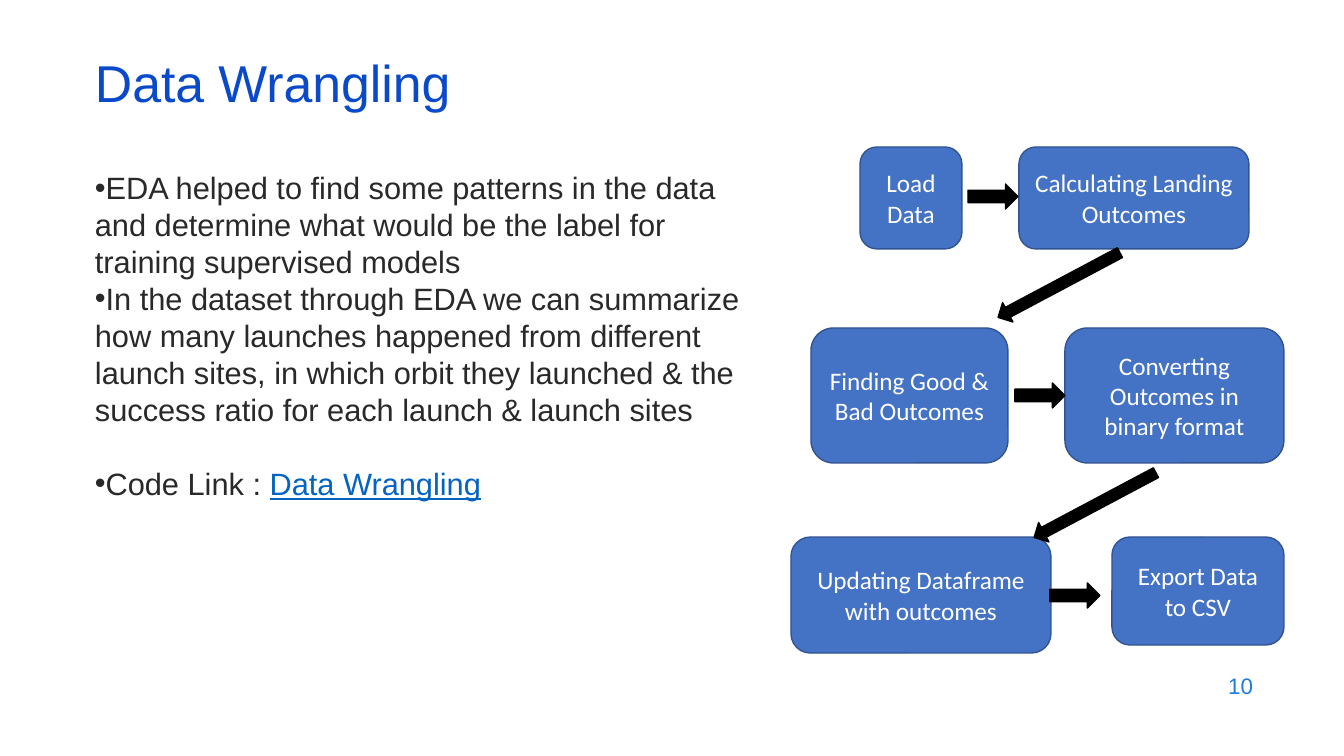
"""Build the Data Wrangling slide: bullet text beside a six-step flow of boxes and arrows."""
from pptx import Presentation
from pptx.dml.color import RGBColor
from pptx.enum.shapes import MSO_SHAPE as Shape
from pptx.enum.text import MSO_ANCHOR as Anchor, PP_ALIGN as Align
from pptx.oxml.ns import qn
from pptx.util import Emu, Pt
from lxml.etree import SubElement

COLORS = {
    "title": "0B49CB", "body": "292929", "link": "0563C1", "number": "1C7DDB",
    "box": "4472C4", "outline": "325491", "label": "FFFFFF", "arrow": "000000",
}


def px(*lengths):
    return [Emu(round(length * 914400 / 100.8)) for length in lengths]


def write(paragraph, text, color, **font_format):
    run = paragraph.add_run()
    run.text = text
    run.font.color.rgb = RGBColor.from_string(COLORS[color])
    for name, value in font_format.items():
        setattr(run.font, name, value)


presentation = Presentation()
presentation.slide_width, presentation.slide_height = px(1344, 756)
slide = presentation.slides.add_slide(presentation.slide_layouts[6])

headings = [
    ((961, 664, 302, 44), "10", "number", 16, {"alignment": Align.RIGHT}),
    ((85, 59, 1159, 60), "Data Wrangling", "title", 37, {"line_spacing": 0.7}),
]
for place, text, color, size, paragraph_format in headings:
    frame = slide.shapes.add_textbox(*px(*place)).text_frame
    frame.word_wrap = True
    frame.vertical_anchor = Anchor.MIDDLE
    paragraph = frame.paragraphs[0]
    for name, value in paragraph_format.items():
        setattr(paragraph, name, value)
    write(paragraph, text, color, size=Pt(size), name="Arial")

bullets = [
    ("EDA helped to find some patterns in the data and determine what would be "
     "the label for training supervised models", "", 0),
    ("In the dataset through EDA we can summarize how many launches happened from "
     "different launch sites, in which orbit they launched & the success ratio for "
     "each launch & launch sites", "", 0),
    ("Code Link : ", "Data Wrangling", 26.4),
]
body = slide.shapes.add_textbox(*px(85, 164, 700, 480)).text_frame
body.word_wrap = True
for index, (text, link, space) in enumerate(bullets):
    paragraph = body.add_paragraph() if index else body.paragraphs[0]
    paragraph.line_spacing = Pt(26.4)
    paragraph.space_before = Pt(space)
    properties = paragraph._p.get_or_add_pPr()
    properties.set("marL", "0")
    properties.set("indent", "0")
    SubElement(properties, qn("a:buFont")).set("typeface", "Arial")
    SubElement(properties, qn("a:buChar")).set("char", "•")
    write(paragraph, text, "body", size=Pt(22), name="Arial")
    if link:
        write(paragraph, link, "link", size=Pt(22), name="Arial", underline=True)

steps = [
    ("Load Data", 860, 147, 102, 102),
    ("Calculating Landing Outcomes", 1019, 147, 230, 102),
    ("Finding Good & Bad Outcomes", 811, 328, 197, 135),
    ("Converting Outcomes in binary format", 1065, 328, 219, 135),
    ("Updating Dataframe with outcomes", 791, 537, 260, 116),
    ("Export Data to CSV", 1112, 537, 172, 108),
]
across, down = (50, 25, 0), (138, 22, 152)
arrows = [
    (968, 184, across), (990, 274, down), (1015, 383, across),
    (1026, 494, down), (1050, 583, across),
]
flow = [(Shape.ROUNDED_RECTANGLE, place, 0, "box", "outline", label)
        for label, *place in steps]
flow += [(Shape.RIGHT_ARROW, (left, top, width, height), turn, "arrow", "arrow", "")
         for left, top, (width, height, turn) in arrows]
for kind, place, turn, fill, outline, label in flow:
    shape = slide.shapes.add_shape(kind, *px(*place))
    shape.shadow.inherit = False
    shape.rotation = turn
    shape.fill.solid()
    shape.fill.fore_color.rgb = RGBColor.from_string(COLORS[fill])
    shape.line.color.rgb = RGBColor.from_string(COLORS[outline])
    shape.line.width = Pt(1)
    if label:
        shape.text_frame.word_wrap = True
        shape.text_frame.vertical_anchor = Anchor.MIDDLE
        paragraph = shape.text_frame.paragraphs[0]
        paragraph.alignment = Align.CENTER
        write(paragraph, label, "label", size=Pt(18), name="Calibri")

presentation.save("out.pptx")
